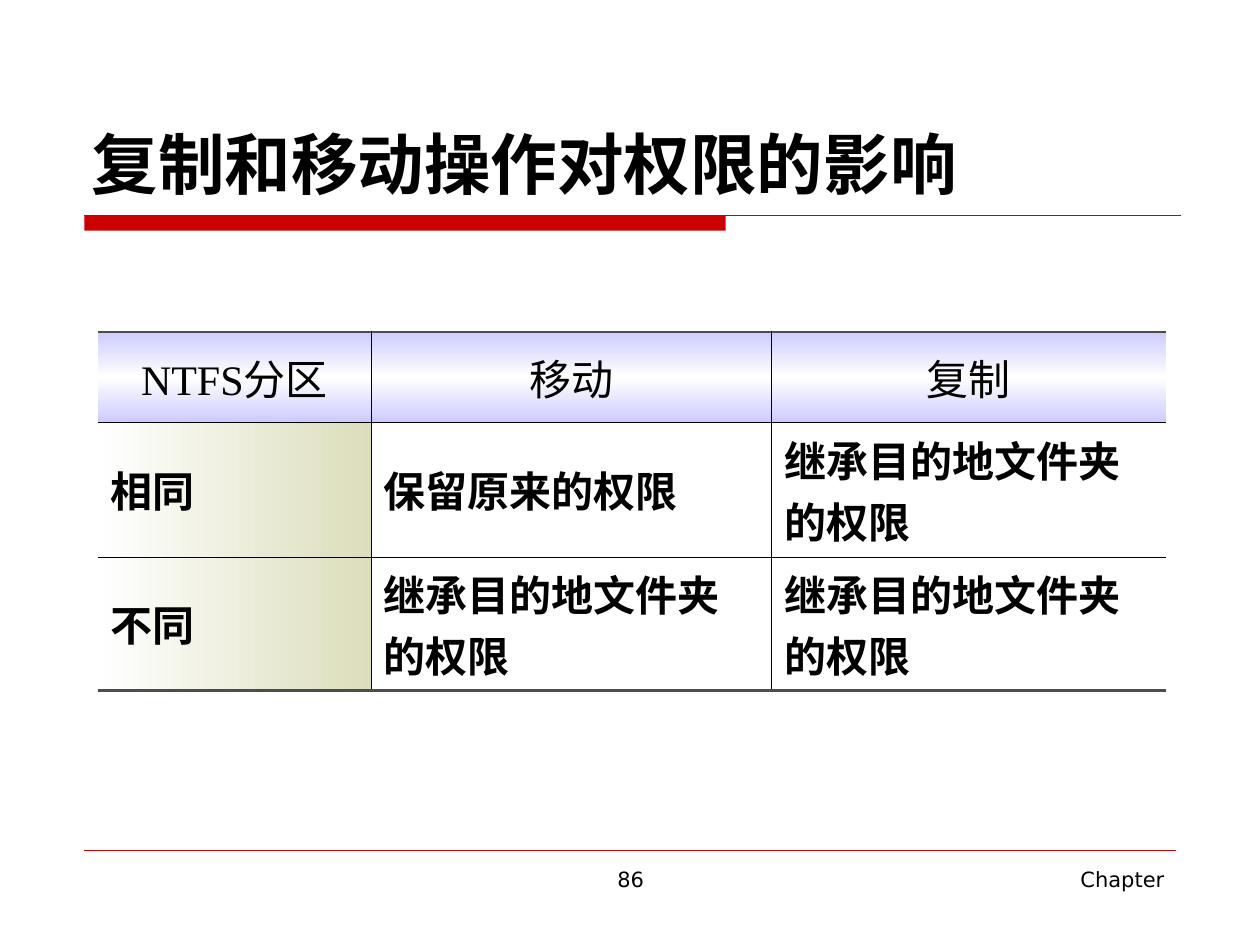
from dataclasses import dataclass

from lxml import etree
from pptx import Presentation
from pptx.dml.color import RGBColor
from pptx.enum.shapes import MSO_CONNECTOR, MSO_SHAPE
from pptx.enum.text import MSO_ANCHOR, PP_ALIGN
from pptx.oxml.ns import qn
from pptx.util import Inches, Pt

LEFT, CENTER, RIGHT = PP_ALIGN.LEFT, PP_ALIGN.CENTER, PP_ALIGN.RIGHT
TOP, MIDDLE, BOTTOM = MSO_ANCHOR.TOP, MSO_ANCHOR.MIDDLE, MSO_ANCHOR.BOTTOM
RECTANGLE, STRAIGHT = MSO_SHAPE.RECTANGLE, MSO_CONNECTOR.STRAIGHT


@dataclass(frozen=True)
class Theme:
    ink: str = "000000"
    accent: str = "CC0000"
    frame: str = "4D4D4D"
    header_fill: tuple = ("CCCCFF", "FFFFFF", "CCCCFF")
    label_fill: tuple = ("FFFFFF", "DCDEBC")
    sans: str = "DejaVu Sans"
    serif: str = "Times New Roman"
    title_size: int = 38
    table_size: int = 24
    footer_size: int = 12
    frame_width: float = 1.75
    grid_width: float = 0.45


class SlideBuilder:
    """Places elements on a slide with a grid of 100 columns by 75 rows."""

    def __init__(self, presentation, theme):
        self.theme = theme
        self.column = presentation.slide_width / 100
        self.row = presentation.slide_height / 75
        self.slide = presentation.slides.add_slide(presentation.slide_layouts[6])

    def place(self, left, top, width, height):
        return (round(left * self.column), round(top * self.row),
                round(width * self.column), round(height * self.row))

    def style(self, paragraph, font, size, bold, align):
        paragraph.alignment = align
        paragraph.font.name = font
        paragraph.font.size = Pt(size)
        paragraph.font.bold = bold
        paragraph.font.color.rgb = RGBColor.from_string(self.theme.ink)

    def text(self, content, area, size, align=LEFT, anchor=TOP, bold=False):
        frame = self.slide.shapes.add_textbox(*self.place(*area)).text_frame
        frame.word_wrap = True
        frame.vertical_anchor = anchor
        frame.text = content
        self.style(frame.paragraphs[0], self.theme.sans, size, bold, align)

    def bar(self, area):
        bar = self.slide.shapes.add_shape(RECTANGLE, *self.place(*area))
        bar.shadow.inherit = False
        bar.fill.solid()
        bar.fill.fore_color.rgb = RGBColor.from_string(self.theme.accent)
        bar.line.fill.background()

    def rule(self, left, right, top, weight):
        x, y, width, _ = self.place(left, top, right - left, 0)
        rule = self.slide.shapes.add_connector(STRAIGHT, x, y, x + width, y)
        rule.line.color.rgb = RGBColor.from_string(self.theme.accent)
        rule.line.width = Pt(weight)
        etree.SubElement(rule._element.spPr, qn("a:effectLst"))

    def border(self, cell, side, color, weight):
        line = etree.SubElement(cell._tc.get_or_add_tcPr(), qn(f"a:ln{side}"))
        if color is None:
            etree.SubElement(line, qn("a:noFill"))
            return
        line.set("w", str(Pt(weight)))
        solid = etree.SubElement(line, qn("a:solidFill"))
        etree.SubElement(solid, qn("a:srgbClr"), val=color)

    def gradient(self, cell, colors, angle):
        fill = etree.SubElement(cell._tc.get_or_add_tcPr(), qn("a:gradFill"))
        stops = etree.SubElement(fill, qn("a:gsLst"))
        for index, color in enumerate(colors):
            position = 100000 * index // (len(colors) - 1)
            stop = etree.SubElement(stops, qn("a:gs"), pos=str(position))
            etree.SubElement(stop, qn("a:srgbClr"), val=color)
        etree.SubElement(fill, qn("a:lin"), ang=str(angle * 60000), scaled="1")

    def table(self, rows, left, top, widths, heights):
        area = self.place(left, top, sum(widths), sum(heights))
        table = self.slide.shapes.add_table(len(rows), len(widths), *area).table
        table.first_row = table.horz_banding = False
        for column, width in zip(table.columns, widths):
            column.width = round(width * self.column)
        for row, height in zip(table.rows, heights):
            row.height = round(height * self.row)
        for r, contents in enumerate(rows):
            for c, content in enumerate(contents):
                self.cell(table.cell(r, c), content, r, c, len(rows), len(widths))

    def cell(self, cell, content, r, c, row_count, column_count):
        theme = self.theme
        cell.text = content
        cell.vertical_anchor = MIDDLE
        header = r == 0
        self.style(cell.text_frame.paragraphs[0], theme.serif, theme.table_size,
                   not header, CENTER if header else LEFT)
        none = (None, 0)
        grid = (theme.ink, theme.grid_width)
        frame = (theme.frame, theme.frame_width)
        self.border(cell, "L", *(none if c == 0 else grid))
        self.border(cell, "R", *(none if c == column_count - 1 else grid))
        self.border(cell, "T", *(frame if header else grid))
        self.border(cell, "B", *(frame if r == row_count - 1 else grid))
        if header:
            self.gradient(cell, theme.header_fill, 90)
        elif c == 0:
            self.gradient(cell, theme.label_fill, 0)
        else:
            cell.fill.background()


def main():
    presentation = Presentation()
    presentation.slide_width, presentation.slide_height = Inches(10), Inches(7.5)
    theme = Theme()
    builder = SlideBuilder(presentation, theme)

    builder.bar((6.7, 17.1, 50.9, 1.2))
    builder.rule(6.7, 93.7, 17.1, 1)
    builder.rule(6.7, 93.3, 67.5, 0.25)
    builder.text("86", (34.2, 68.3, 31.7, 5.2), theme.footer_size, CENTER)
    builder.text("Chapter", (71.7, 68.3, 21.7, 5.2), theme.footer_size, RIGHT)
    builder.text("复制和移动操作对权限的影响", (6.3, 3.3, 87.5, 13.3),
                 theme.title_size, anchor=BOTTOM, bold=True)

    inherited = "继承目的地文件夹的权限"
    permissions = [
        ("NTFS分区", "移动", "复制"),
        ("相同", "保留原来的权限", inherited),
        ("不同", inherited, inherited),
    ]
    builder.table(permissions, 7.75, 26.35, (21.7, 31.8, 31.3), (7.15, 10.7, 10.6))
    presentation.save("out.pptx")


if __name__ == "__main__":
    main()
